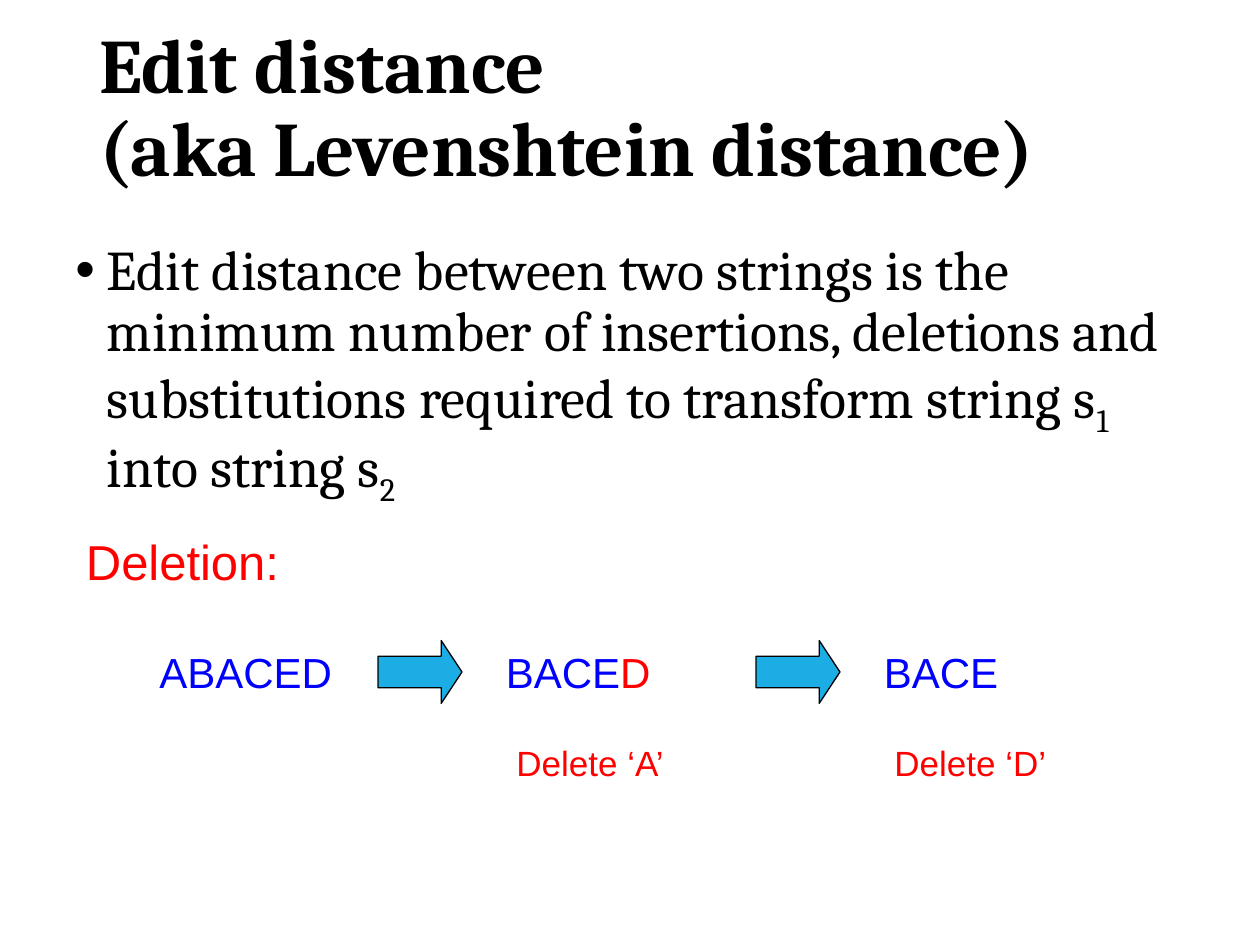
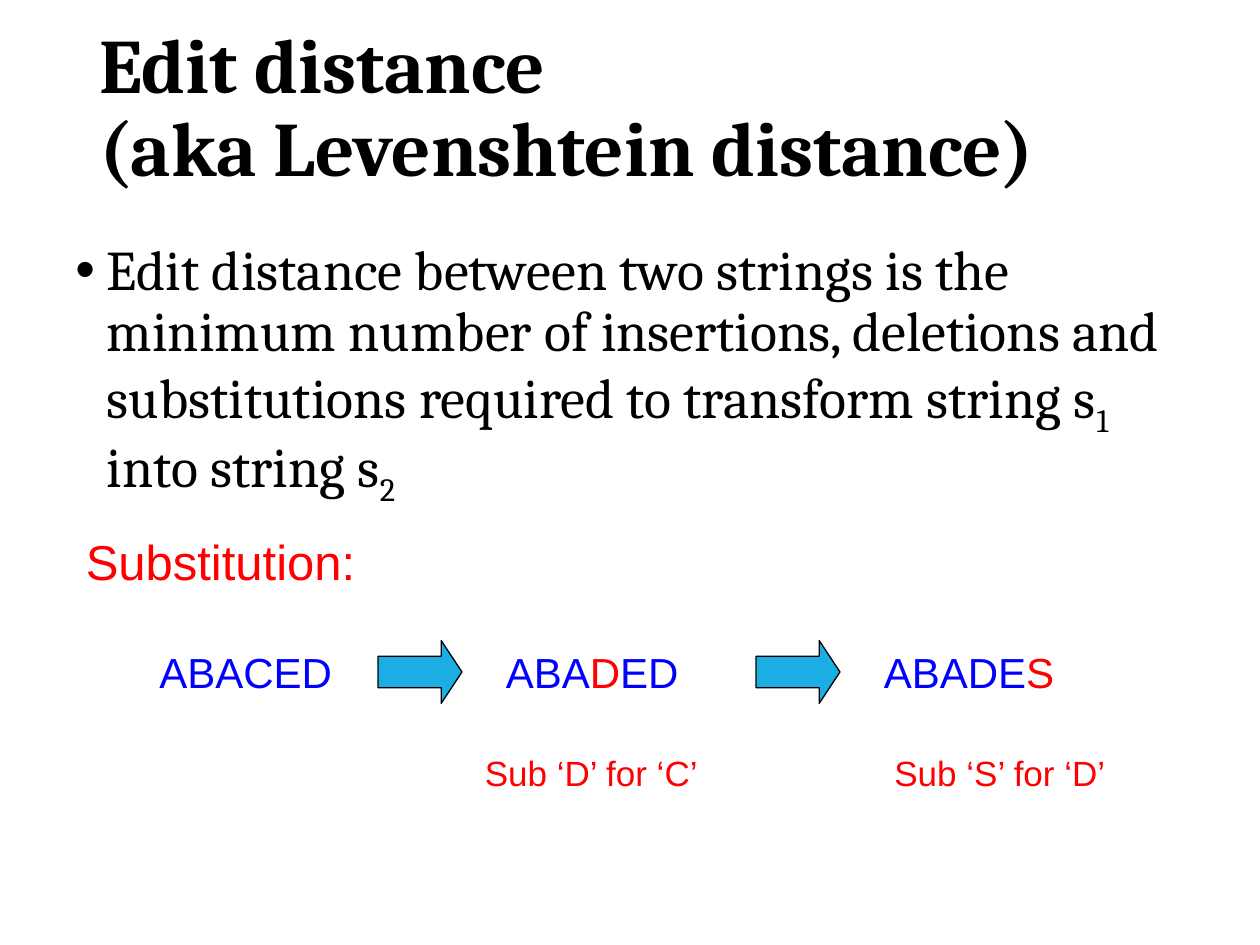
from lxml.etree import SubElement
from pptx import Presentation
from pptx.dml.color import RGBColor
from pptx.enum.shapes import MSO_SHAPE
from pptx.enum.text import MSO_ANCHOR, MSO_AUTO_SIZE, PP_ALIGN
from pptx.oxml.ns import qn
from pptx.util import Inches, Pt

COLORS = {"ink": "000000", "paper": "FFFFFF", "string": "0000FF",
          "edit": "FF0000", "arrow": "1CADE4"}
HEADING_FONT, EXAMPLE_FONT = "Cambria", "Arial"
UNIT = Inches(10) // 120  # the slide is a grid of 120 columns by 90 rows
STRING_ROW, STRING_ROWS = 61, 6
STEP_COLS = 36            # distance from one edit step to the next

TITLE_LINES = ["Edit distance ", "(aka Levenshtein distance)"]
DEFINITION = [
    ("Edit distance between two strings is the minimum number of insertions, "
     "deletions and substitutions required to transform string s", False),
    ("1 ", True), ("into string s", False), ("2", True)]

# Each step: string runs as (text, colour), its note, and the note's column and width.
EXAMPLES = [
    {"heading": "Deletion:", "heading_cols": 22, "note_row": 70, "steps": [
        ([("BACE", "string"), ("D", "edit")], "Delete ‘A’", 48, 17),
        ([("BACE", "string")], "Delete ‘D’", 84, 17)]},
    {"heading": "Substitution:", "heading_cols": 30, "note_row": 71, "steps": [
        ([("ABA", "string"), ("D", "edit"), ("ED", "string")],
         "Sub ‘D’ for ‘C’", 45, 23),
        ([("ABADE", "string"), ("S", "edit")], "Sub ‘S’ for ‘D’", 84, 24)]},
]


def rgb(name):
    """Return the named colour."""
    return RGBColor.from_string(COLORS[name])


def grid(*cells):
    """Turn columns and rows into lengths."""
    return [round(cell * UNIT) for cell in cells]


def add_run(paragraph, text, size, color="ink", font=HEADING_FONT, bold=False):
    """Add one formatted run and return it."""
    run = paragraph.add_run()
    run.text = text
    run.font.name, run.font.size, run.font.bold = font, Pt(size), bold
    run.font.color.rgb = rgb(color)
    return run


def add_label(slide, box, runs, size):
    """Write coloured runs on one line of example text in a grid box."""
    frame = slide.shapes.add_textbox(*grid(*box)).text_frame
    frame.word_wrap = True
    for text, color in runs:
        add_run(frame.paragraphs[0], text, size, color, EXAMPLE_FONT)


def add_title(slide, box):
    """Place and format the two-line title."""
    title = slide.shapes.title
    title.left, title.top, title.width, title.height = grid(*box)
    frame = title.text_frame
    frame.auto_size = MSO_AUTO_SIZE.NONE
    frame.vertical_anchor = MSO_ANCHOR.MIDDLE
    paragraph = frame.paragraphs[0]
    paragraph.alignment, paragraph.line_spacing = PP_ALIGN.LEFT, 0.9
    for index, line in enumerate(TITLE_LINES):
        if index:
            paragraph.add_line_break()
        add_run(paragraph, line, 44, bold=True)


def add_definition(slide, box):
    """Write the bulleted definition with its subscripts."""
    frame = slide.shapes.add_textbox(*grid(*box)).text_frame
    frame.word_wrap = True
    paragraph = frame.paragraphs[0]
    paragraph.line_spacing, paragraph.space_before = 0.9, Pt(10)
    properties = paragraph._p.get_or_add_pPr()
    properties.set("marL", str(Inches(0.25)))
    properties.set("indent", str(-Inches(0.25)))
    SubElement(properties, qn("a:buFont")).set("typeface", EXAMPLE_FONT)
    SubElement(properties, qn("a:buChar")).set("char", "•")
    for text, subscript in DEFINITION:
        run = add_run(paragraph, text, 32)
        if subscript:
            run.font._element.set("baseline", "-25000")


def add_arrow(slide, box):
    """Draw the block arrow that leads to the next string."""
    arrow = slide.shapes.add_shape(MSO_SHAPE.RIGHT_ARROW, *grid(*box))
    arrow.adjustments[0], arrow.adjustments[1] = 0.5, 0.33
    arrow.shadow.inherit = False
    arrow.fill.solid()
    arrow.fill.fore_color.rgb = rgb("arrow")
    arrow.line.color.rgb = rgb("ink")
    arrow.line.width = Pt(0.75)


def add_example(slide, example):
    """Lay out the start string, then an arrow, string and note per edit step."""
    add_label(slide, (7, 50, example["heading_cols"], 6.86),
              [(example["heading"], "edit")], 28)
    add_label(slide, (14, STRING_ROW, 19, STRING_ROWS), [("ABACED", "string")], 24)
    for index, (runs, note, note_col, note_cols) in enumerate(example["steps"], 1):
        column = index * STEP_COLS
        add_arrow(slide, (column, STRING_ROW, 8, STRING_ROWS))
        add_label(slide, (column + 11, STRING_ROW, 25, STRING_ROWS), runs, 24)
        add_label(slide, (note_col, example["note_row"], note_cols, 5.2),
                  [(note, "edit")], 20)


def add_edit_slide(deck, example):
    """Build one slide: title, definition and worked example."""
    slide = deck.slides.add_slide(deck.slide_layouts[5])
    slide.background.fill.solid()
    slide.background.fill.fore_color.rgb = rgb("paper")
    add_title(slide, (8.25, 1.8, 103.5, 17.4))
    add_definition(slide, (6, 22.5, 108, 27.5))
    add_example(slide, example)


deck = Presentation()
deck.slide_width, deck.slide_height = grid(120, 90)
for example in EXAMPLES:
    add_edit_slide(deck, example)
deck.save("out.pptx")
